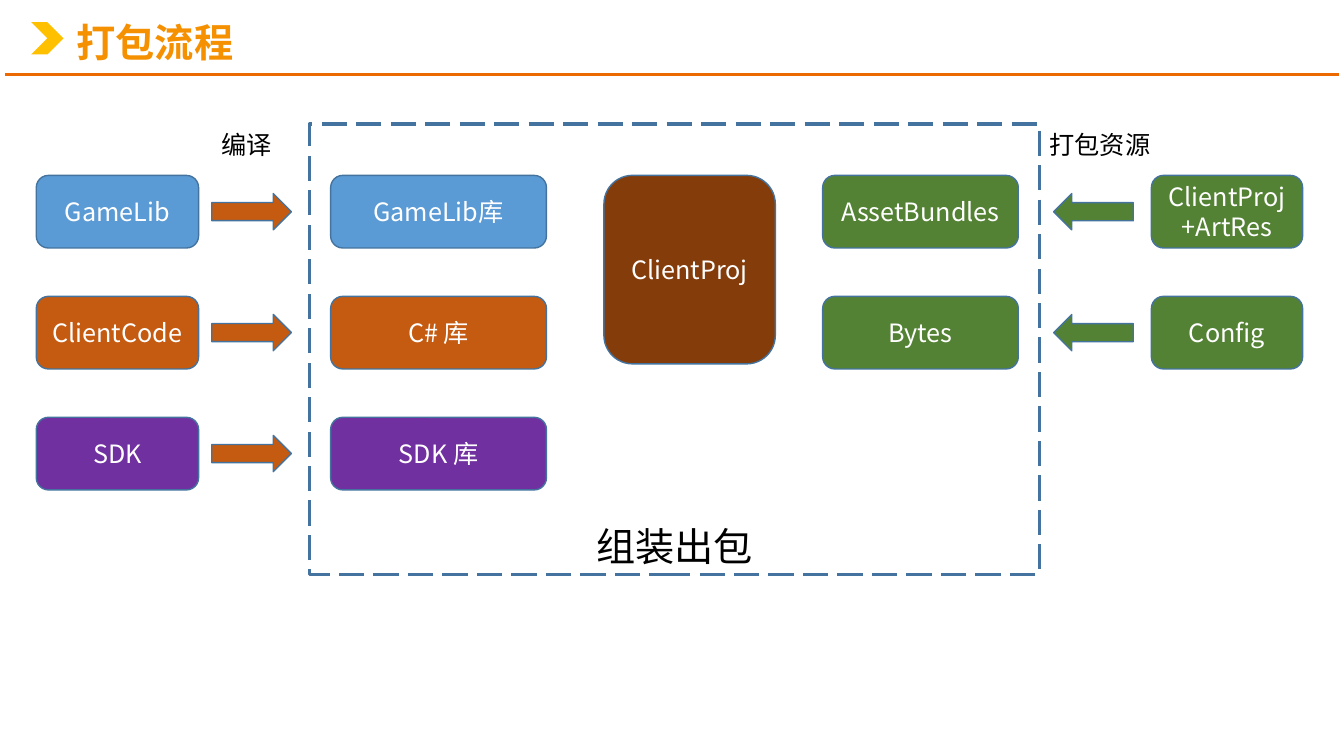
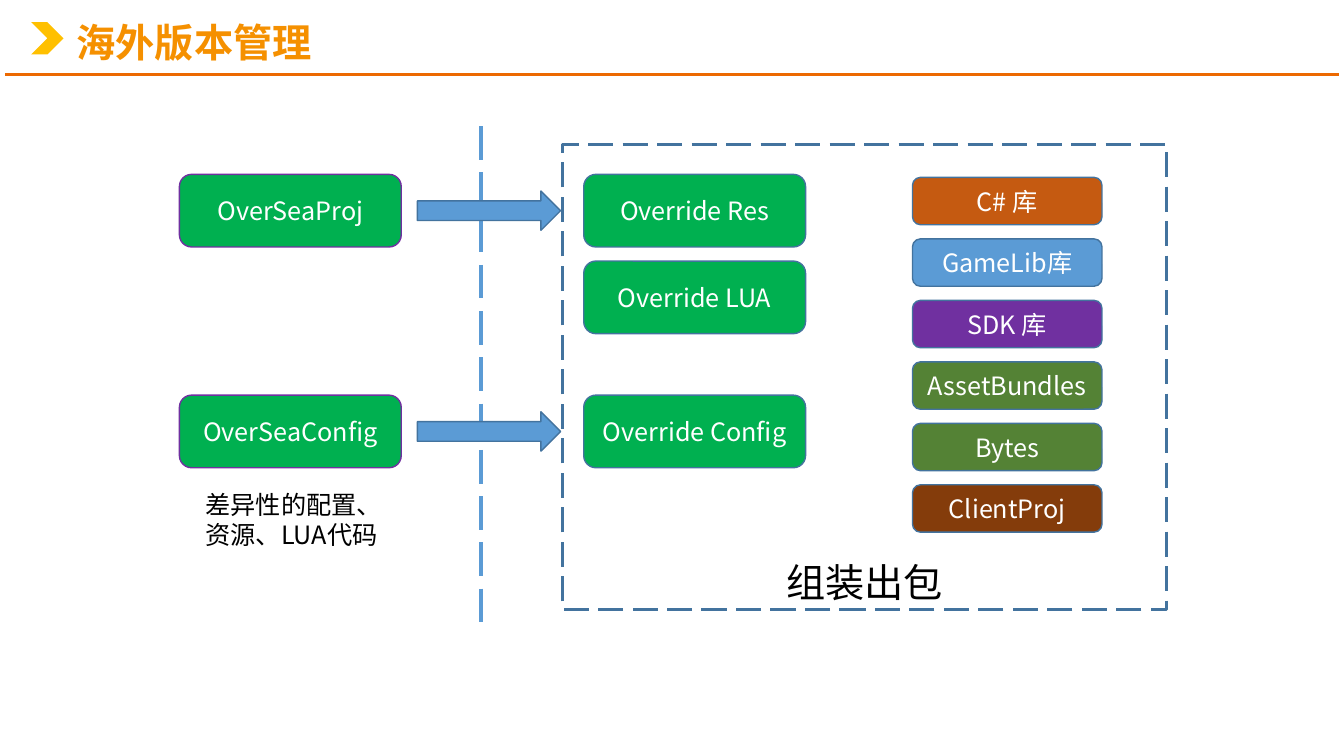
from lxml import etree
from pptx import Presentation
from pptx.dml.color import RGBColor
from pptx.enum.dml import MSO_LINE
from pptx.enum.shapes import MSO_CONNECTOR, MSO_SHAPE
from pptx.enum.text import MSO_ANCHOR, MSO_AUTO_SIZE, PP_ALIGN
from pptx.oxml.ns import qn
from pptx.util import Inches, Pt

ROUND, RECT = MSO_SHAPE.ROUNDED_RECTANGLE, MSO_SHAPE.RECTANGLE
ARROW, CHEVRON = MSO_SHAPE.RIGHT_ARROW, MSO_SHAPE.CHEVRON
STRAIGHT, DASH = MSO_CONNECTOR.STRAIGHT, MSO_LINE.LONG_DASH
LEFT, CENTER = PP_ALIGN.LEFT, PP_ALIGN.CENTER
TOP, MIDDLE, BOTTOM = MSO_ANCHOR.TOP, MSO_ANCHOR.MIDDLE, MSO_ANCHOR.BOTTOM

FONT = "Noto Sans CJK SC"
WHITE = RGBColor(0xFF, 0xFF, 0xFF)
BLACK = RGBColor(0, 0, 0)
AMBER = RGBColor(0xF5, 0x90, 0x00)
GOLD = RGBColor(0xFF, 0xC0, 0x00)
RULE = RGBColor(0xEC, 0x69, 0x01)
EDGE = RGBColor(0x43, 0x73, 0x9E)
BLUE = RGBColor(0x5B, 0x9B, 0xD5)
RUST = RGBColor(0xC5, 0x5A, 0x11)
BROWN = RGBColor(0x84, 0x3C, 0x0B)
PURPLE = RGBColor(0x70, 0x30, 0xA0)
OLIVE = RGBColor(0x54, 0x82, 0x35)
GREEN = RGBColor(0x00, 0xB0, 0x50)

WIDE, HIGH = 13.33, 7.5
BOX = 0.72  # height of a process box

# Columns as (left, width)
SOURCE, BUILD, LIBS = (0.36, 1.61), (2.1, 0.79), (3.28, 2.14)
CORE, DATA, PACK, ASSETS = (5.99, 1.7), (8.16, 1.94), (10.45, 0.79), (11.42, 1.5)
ABROAD, SEND, PATCH, STACK = (1.78, 2.2), (4.14, 1.42), (5.79, 2.2), (9.05, 1.88)


def cell(col, top, height):
    left, width = col
    return [Inches(n) for n in (left, top, width, height)]


def write(shape, text, color, size=18, align=CENTER, anchor=MIDDLE, bold=False):
    frame = shape.text_frame
    frame.word_wrap = True
    frame.auto_size = MSO_AUTO_SIZE.NONE
    frame.vertical_anchor = anchor
    frame.text = text
    for para in frame.paragraphs:
        para.alignment = align
        font = para.font
        font.name, font.size, font.bold = FONT, Pt(size), bold
        font.color.rgb = color
    for props in shape.element.iter(qn("a:defRPr")):
        etree.SubElement(props, qn("a:ea")).set("typeface", FONT)


def draw(slide, kind, place, fill, edge=EDGE, weight=1):
    shape = slide.shapes.add_shape(kind, *place)
    shape.shadow.inherit = False
    shape.fill.solid()
    shape.fill.fore_color.rgb = fill
    if edge is None:
        shape.line.fill.background()
    else:
        shape.line.color.rgb = edge
        shape.line.width = Pt(weight)
    return shape


def box(slide, text, col, top, fill, height=BOX, edge=EDGE):
    write(draw(slide, ROUND, cell(col, top, height), fill, edge), text, WHITE)


def arrow(slide, col, top, height, fill, turn=0):
    """Centre an arrow on the box row that starts at top."""
    place = cell(col, top + (BOX - height) / 2, height)
    draw(slide, ARROW, place, fill).rotation = turn


def zone(slide, text, col, top, height):
    area = draw(slide, RECT, cell(col, top, height), WHITE, weight=2.25)
    area.line.dash_style = DASH
    write(area, text, BLACK, 28, anchor=BOTTOM)


def label(slide, text, col, top, height=0.4):
    note = slide.shapes.add_textbox(*cell(col, top, height))
    write(note, text, BLACK, align=LEFT, anchor=TOP)


def line(slide, start, end, color, weight):
    ends = [Inches(n) for n in start + end]
    rule = slide.shapes.add_connector(STRAIGHT, *ends)
    rule.line.color.rgb = color
    rule.line.width = Pt(weight)
    etree.SubElement(rule.element.spPr, qn("a:effectLst"))
    return rule


def brand(deck, layout):
    """Give the layout its title place, header line and chevron."""
    title = layout.placeholders[0]
    title.left, title.top, title.width, title.height = cell((0.66, 10.46), 0.13, 0.63)
    slide = deck.slides[0]
    rule = line(slide, (0.05, 0.74), (WIDE - 0.05, 0.74), RULE, 2)
    mark = draw(slide, CHEVRON, cell((0.31, 0.32), 0.22, 0.32), GOLD, None)
    for item in (rule, mark):
        layout.shapes.element.append(item.element)


def page(deck, layout, text):
    slide = deck.slides.add_slide(layout)
    title = slide.shapes.title
    write(title, text, AMBER, 28, LEFT, bold=True)
    title.text_frame.paragraphs[0].line_spacing = 0.9
    return slide


def flow(slide):
    rows = [1.74 + 1.2 * i for i in range(3)]
    zone(slide, "组装出包", (3.07, 7.24), 1.23, 4.47)
    code = (("GameLib", "GameLib库", BLUE), ("ClientCode", "C# 库", RUST),
            ("SDK", "SDK 库", PURPLE))
    for top, (name, lib, fill) in zip(rows, code):
        box(slide, name, SOURCE, top, fill)
        arrow(slide, BUILD, top, 0.36, RUST)
        box(slide, lib, LIBS, top, fill)
    box(slide, "ClientProj", CORE, rows[0], BROWN, 1.87)
    data = (("AssetBundles", "ClientProj\n+ArtRes"), ("Bytes", "Config"))
    for top, (name, origin) in zip(rows, data):
        box(slide, name, DATA, top, OLIVE)
        arrow(slide, PACK, top, 0.36, OLIVE, 180)
        box(slide, origin, ASSETS, top, OLIVE)
    label(slide, "编译", (2.1, 0.75), 1.23)
    label(slide, "打包资源", (10.31, 1.3), 1.23)


def abroad(slide):
    first, second, third = 1.73, 2.59, 3.92
    zone(slide, "组装出包", (5.58, 5.99), 1.43, 4.62)
    line(slide, (4.77, 1.25), (4.77, 6.21), BLUE, 3).line.dash_style = DASH
    for name, top in (("OverSeaProj", first), ("OverSeaConfig", third)):
        box(slide, name, ABROAD, top, GREEN, edge=PURPLE)
        arrow(slide, SEND, top, 0.39, BLUE)
    label(slide, "差异性的配置、\n资源、LUA代码", (1.94, 1.97), 4.8, 0.71)
    for name, top in (("Res", first), ("LUA", second), ("Config", third)):
        box(slide, f"Override {name}", PATCH, top, GREEN)
    parts = (("C# 库", RUST), ("GameLib库", BLUE), ("SDK 库", PURPLE),
             ("AssetBundles", OLIVE), ("Bytes", OLIVE), ("ClientProj", BROWN))
    for i, (name, fill) in enumerate(parts):
        box(slide, name, STACK, 1.76 + 0.61 * i, fill, 0.47)


def main():
    deck = Presentation()
    deck.slide_width, deck.slide_height = Inches(WIDE), Inches(HIGH)
    layout = deck.slide_layouts[5]
    pages = [page(deck, layout, text) for text in ("打包流程", "海外版本管理")]
    brand(deck, layout)
    flow(pages[0])
    abroad(pages[1])
    deck.save("out.pptx")


if __name__ == "__main__":
    main()
